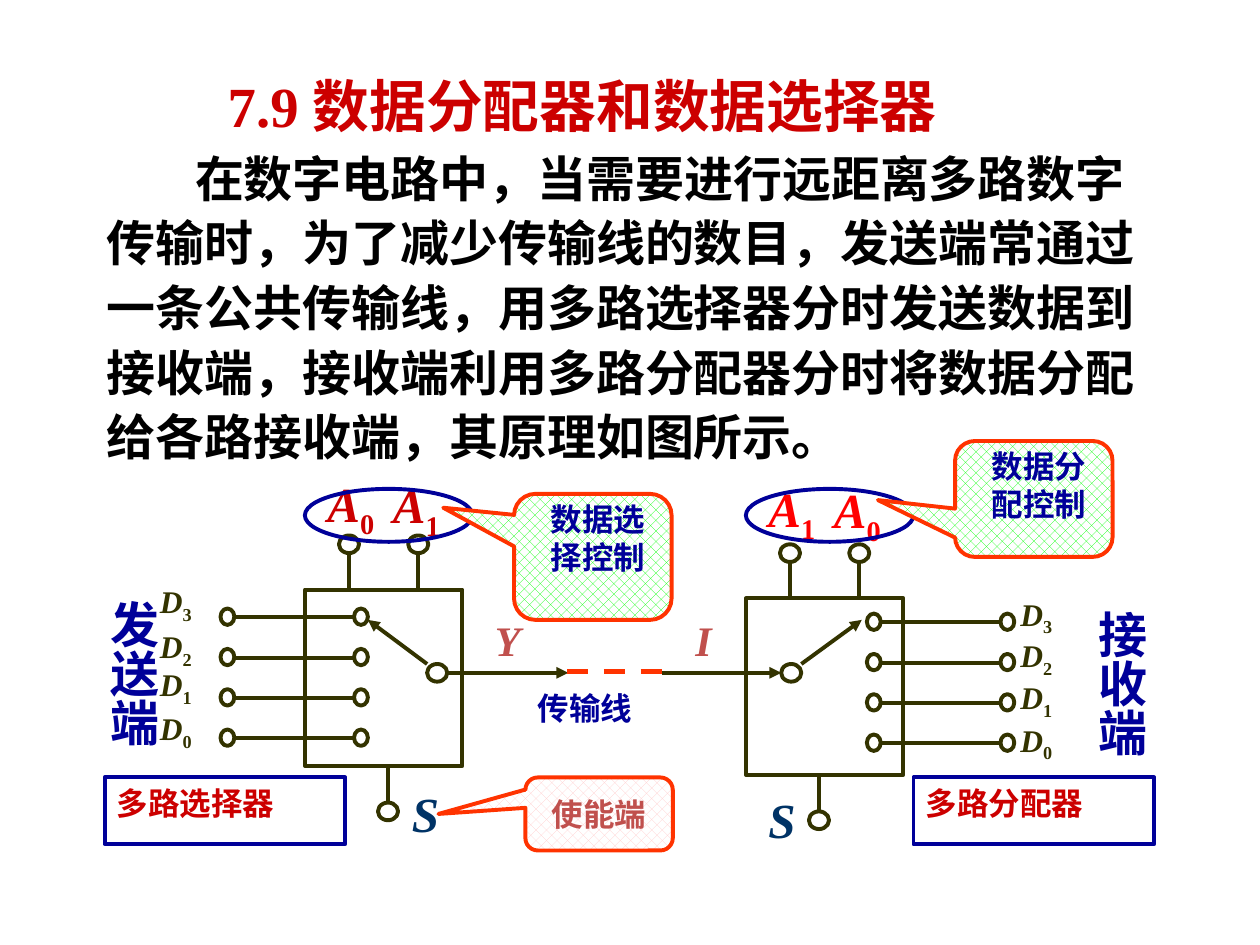
from dataclasses import dataclass

from lxml import etree
from pptx import Presentation
from pptx import util as u
from pptx.dml.color import RGBColor
from pptx.enum import dml, shapes, text
from pptx.oxml import ns

Inches = u.Inches
SHAPE = shapes.MSO_SHAPE


@dataclass(frozen=True)
class Theme:
    latin: str = "Times New Roman"
    cjk: str = "Noto Sans CJK JP"
    red: str = "CC0000"
    bright_red: str = "FF0000"
    black: str = "000000"
    navy: str = "000099"
    olive: str = "333300"
    signal: str = "C0504D"
    enable: str = "003366"
    orange: str = "FF3300"
    pink: str = "FFCCCC"
    green: str = "00FF00"
    white: str = "FFFFFF"
    title: float = 32.4
    large: float = 28
    medium: float = 24
    small: float = 18
    stroke: float = 2.25


THEME = Theme()


def rgb(value):
    return RGBColor.from_string(value)


def style_run(run, size, color, italic=False):
    font = run.font
    font.size, font.bold, font.italic = u.Pt(size), True, italic
    font.color.rgb = rgb(color)
    font.name = THEME.latin
    etree.SubElement(font._element, ns.qn("a:ea"), typeface=THEME.cjk)


def write(shape, words, size, color, align=text.PP_ALIGN.LEFT,
          anchor=text.MSO_ANCHOR.TOP, italic=False, wrap=True):
    frame = shape.text_frame
    frame.text = words
    frame.word_wrap = wrap
    frame.vertical_anchor = anchor
    for paragraph in frame.paragraphs:
        paragraph.alignment = align
        for run in paragraph.runs:
            style_run(run, size, color, italic)
    return frame


def add_text(slide, box, words, size, color, **options):
    area = slide.shapes.add_textbox(*map(Inches, box))
    return write(area, words, size, color, **options)


def add_outline(slide, kind, box, color=THEME.olive):
    outline = slide.shapes.add_shape(kind, *map(Inches, box))
    outline.shadow.inherit = False
    outline.fill.background()
    outline.line.color.rgb = rgb(color)
    outline.line.width = u.Pt(THEME.stroke)
    return outline


def add_wire(slide, start, end, arrow=False, color=THEME.olive,
             width=THEME.stroke, dashed=False):
    wire = slide.shapes.add_connector(
        shapes.MSO_CONNECTOR.STRAIGHT, *map(Inches, (*start, *end)))
    wire.line.color.rgb = rgb(color)
    wire.line.width = u.Pt(width)
    if dashed:
        wire.line.dash_style = dml.MSO_LINE.DASH
    if arrow:
        etree.SubElement(wire.line._get_or_add_ln(), ns.qn("a:tailEnd"),
                         type="triangle")
    etree.SubElement(wire._element.spPr, ns.qn("a:effectLst"))


def add_callout(slide, box, tip, tint, color):
    callout = add_outline(slide, SHAPE.ROUNDED_RECTANGULAR_CALLOUT, box, color)
    for index, value in enumerate((*tip, 0.17)):
        callout.adjustments[index] = value
    callout.fill.patterned()
    callout.fill.pattern = dml.MSO_PATTERN.from_xml("pct40")
    callout.fill.fore_color.rgb = rgb(tint)
    callout.fill.back_color.rgb = rgb(THEME.white)
    return callout


def add_symbol(slide, box, letter, index, size, color):
    frame = add_text(slide, box, letter, size, color, italic=True,
                     wrap=size < THEME.large)
    subscript = frame.paragraphs[0].add_run()
    subscript.text = str(index)
    style_run(subscript, size, color)
    subscript.font._element.set("baseline", "-25000")


def add_terminal(slide, left, top, width=0.16, height=0.14):
    add_outline(slide, SHAPE.OVAL, (left, top, width, height))


def add_side_label(slide, left, top, words):
    frame = add_text(slide, (left, top, 0.67, 1.27), words, THEME.large,
                     THEME.navy, wrap=False)
    frame._txBody.bodyPr.set("vert", "eaVert")


def add_switch(slide, left, top, lanes_left, lanes_top, label_left,
               label_tops, enable_x):
    add_outline(slide, SHAPE.RECTANGLE, (left, top, 1.25, 1.4))
    for lane, label_top in enumerate(label_tops):
        lane_top = lanes_top + 0.32 * lane
        lane_y = lane_top + 0.07
        add_wire(slide, (lanes_left + 0.11, lane_y), (lanes_left + 1.06, lane_y))
        for terminal_left in (lanes_left, lanes_left + 1.06):
            add_terminal(slide, terminal_left, lane_top, 0.11, 0.13)
        add_symbol(slide, (label_left, label_top, 0.64, 0.5), "D", 3 - lane,
                   THEME.small, THEME.olive)
    for address_x in (left + 0.35, left + 0.9):
        add_wire(slide, (address_x, top - 0.28), (address_x, top))
        add_terminal(slide, address_x - 0.08, top - 0.43)
    add_wire(slide, (enable_x, top + 1.4), (enable_x, top + 1.69))
    add_terminal(slide, enable_x - 0.08, top + 1.69)


def add_address(slide, left, top, order, color):
    for position, index in enumerate(order):
        box = (left + 0.08 + 0.52 * position, top + 0.01 * position, 0.59, 0.57)
        add_symbol(slide, box, "A", index, THEME.large, color)
    add_outline(slide, SHAPE.OVAL, (left, 3.88, 1.33, 0.42), THEME.navy)


def add_control_note(slide, left, top, height, tip, words):
    add_callout(slide, (left, top, 1.25, height), tip, THEME.green, THEME.orange)
    add_text(slide, (left, top, 1.33, 0.9), words, THEME.small, THEME.navy,
             align=text.PP_ALIGN.CENTER)


def add_intro(slide):
    add_text(slide, (0.83, 0.5, 7.58, 0.67), "7.9 数据分配器和数据选择器",
             THEME.title, THEME.red, align=text.PP_ALIGN.CENTER,
             anchor=text.MSO_ANCHOR.MIDDLE)
    lines = ("在数字电路中，当需要进行远距离多路数字",
             "传输时，为了减少传输线的数目，发送端常通过",
             "一条公共传输线，用多路选择器分时发送数据到",
             "接收端，接收端利用多路分配器分时将数据分配",
             "给各路接收端，其原理如图所示。")
    frame = add_text(slide, (0.75, 1.08, 8.4, 2.67), "\n".join(lines),
                     THEME.large, THEME.black, wrap=False)
    for paragraph in frame.paragraphs:
        paragraph.line_spacing = 1.1
    opening = frame.paragraphs[0]._p.get_or_add_pPr()
    opening.set("indent", str(Inches(0.7)))


def add_transmission(slide):
    for terminal_left in (3.39, 6.2):
        add_terminal(slide, terminal_left, 5.27)
    add_wire(slide, (3.55, 5.34), (4.51, 5.34), arrow=True)
    add_wire(slide, (4.5, 5.33), (5.33, 5.33), color=THEME.orange, width=3,
             dashed=True)
    add_wire(slide, (5.25, 5.34), (6.2, 5.34), arrow=True)
    add_wire(slide, (3.39, 5.27), (2.92, 4.92), arrow=True)
    add_wire(slide, (6.36, 5.27), (6.84, 4.92), arrow=True)
    for left, signal in ((3.83, "Y"), (5.42, "I")):
        add_text(slide, (left, 4.83, 0.42, 0.5), signal, THEME.medium,
                 THEME.signal, italic=True)
    add_text(slide, (4.17, 5.42, 1.21, 0.5), "传输线", THEME.small, THEME.navy)


def main():
    deck = Presentation()
    deck.slide_width, deck.slide_height = Inches(10), Inches(7.5)
    slide = deck.slides.add_slide(deck.slide_layouts[6])

    add_intro(slide)
    enable_note = add_callout(slide, (4.17, 6.17, 1.17, 0.58), (-1.09, 0),
                              THEME.pink, THEME.orange)
    write(enable_note, "使能端", THEME.small, THEME.signal,
          align=text.PP_ALIGN.CENTER, anchor=text.MSO_ANCHOR.MIDDLE)
    for left, device in ((0.83, "多路选择器"), (7.25, "多路分配器")):
        nameplate = add_outline(slide, SHAPE.RECTANGLE,
                                (left, 6.17, 1.91, 0.53), THEME.navy)
        write(nameplate, device, THEME.small, THEME.red)
    add_side_label(slide, 0.67, 4.67, "发送端")
    add_side_label(slide, 8.51, 4.75, "接收端")

    add_switch(slide, 2.42, 4.68, 1.75, 4.83, 1.17,
               (4.57, 4.93, 5.23, 5.58), 3.08)
    add_switch(slide, 5.92, 4.75, 6.88, 4.87, 8,
               (4.67, 5, 5.33, 5.67), 6.5)
    add_transmission(slide)
    for left, top in ((3.17, 6.17), (6, 6.22)):
        add_text(slide, (left, top, 0.42, 0.57), "S", THEME.large,
                 THEME.enable, italic=True)

    add_address(slide, 2.42, 3.71, (0, 1), THEME.red)
    add_address(slide, 5.92, 3.75, (1, 0), THEME.bright_red)
    add_control_note(slide, 4.08, 3.92, 1, (-0.95, -0.39), "数据选\n择控制")
    add_control_note(slide, 7.58, 3.5, 0.92, (-0.99, 0.01), "数据分\n配控制")
    deck.save("out.pptx")


if __name__ == "__main__":
    main()
